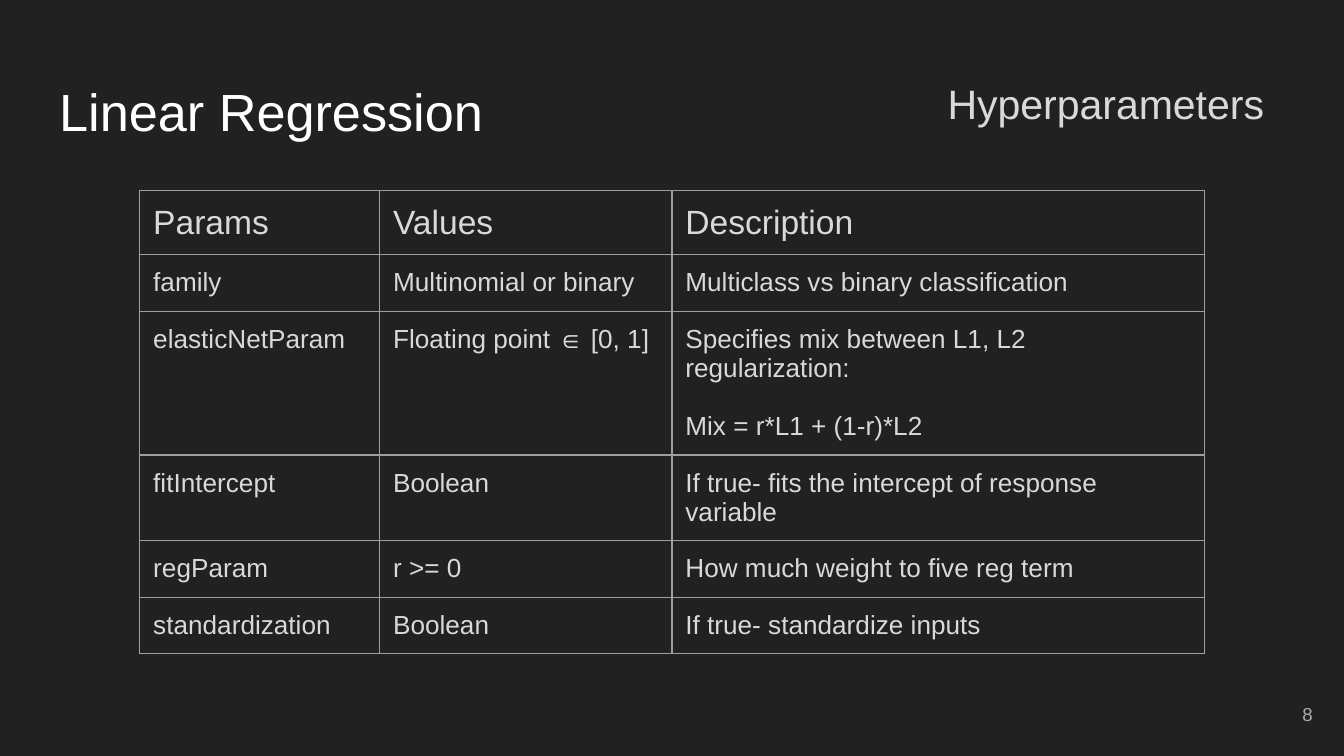
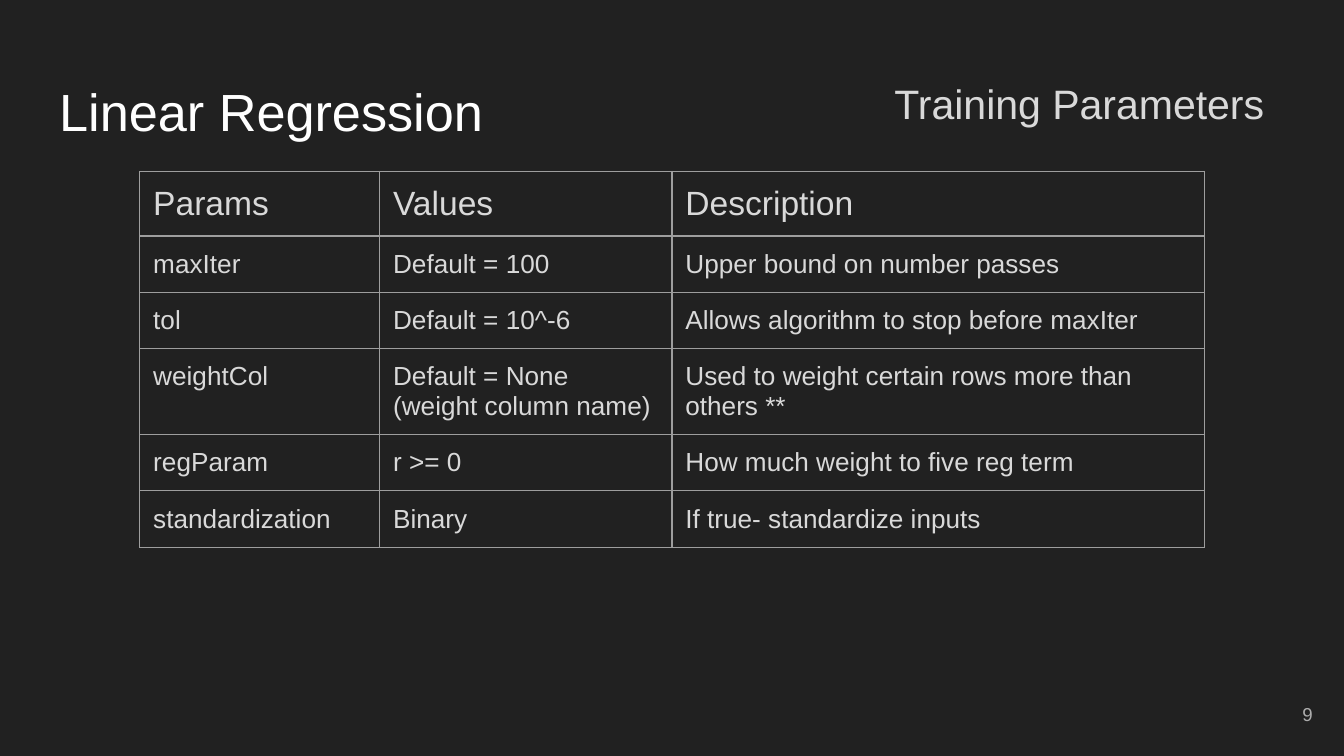
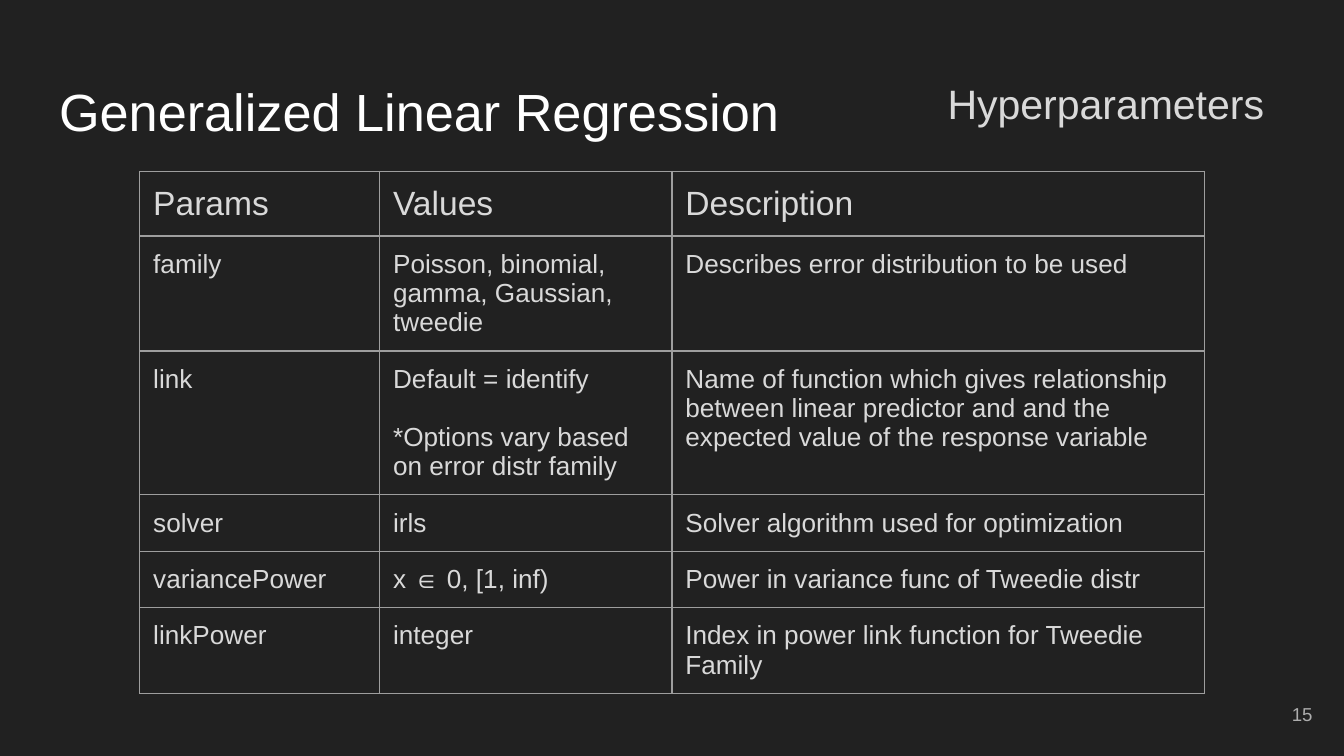
"""Build three dark slides that list regression parameters in tables."""
from dataclasses import dataclass
from typing import NamedTuple

from lxml import etree
from pptx import Presentation
from pptx.dml.color import RGBColor
from pptx.enum.text import MSO_ANCHOR, MSO_AUTO_SIZE, PP_ALIGN
from pptx.oxml.ns import qn
from pptx.slide import Slide
from pptx.table import _Cell
from pptx.text.text import TextFrame
from pptx.util import Emu, Pt

LEFT, RIGHT = PP_ALIGN.LEFT, PP_ALIGN.RIGHT
TOP, MIDDLE = MSO_ANCHOR.TOP, MSO_ANCHOR.MIDDLE
NO_FIT = MSO_AUTO_SIZE.NONE
TITLE_ONLY = 5
SCALE = 4572


def px(size: int) -> Emu:
    """Turn px, two hundred to the inch, into EMU."""
    return Emu(size * SCALE)


class Style(NamedTuple):
    """Size and colour of a run of text."""
    size: int
    color: str


@dataclass(frozen=True)
class Theme:
    """Colours, type sizes and spacing that all slides share."""
    font: str = "Arial"
    back: str = "212121"
    rule: str = "9E9E9E"
    rule_pt: float = 0.75
    inset: int = 20
    title: Style = Style(28, "FFFFFF")
    topic: Style = Style(22, "D9D9D9")
    head: Style = Style(18, "D9D9D9")
    body: Style = Style(14, "D9D9D9")
    page: Style = Style(10, "ADADAD")


class Box(NamedTuple):
    """Place of an element in px."""
    left: int
    top: int
    width: int
    height: int

    def emu(self) -> tuple[Emu, ...]:
        """Give the four lengths in EMU."""
        return tuple(px(side) for side in self)


class Row(NamedTuple):
    """One table row, with the gap before second paragraphs."""
    param: str
    value: str
    note: str
    gap: int = 0


@dataclass(frozen=True)
class Page:
    """Content of one slide."""
    number: int
    title: str
    topic: str
    rows: tuple[Row, ...]
    top: int = 255
    height: int = 580
    title_width: int = 932


THEME = Theme()
COLS = (357, 435, 792)
ROW_HEIGHT = 84
TABLE_LEFT = 208
LINE_GAP = 43
TOPIC_BOX = Box(1088, 97, 813, 126)
PAGE_BOX = Box(1853, 1020, 120, 86)
HEAD = Row("Params", "Values", "Description")
REG = Row("regParam", "r >= 0", "How much weight to five reg term")
SCALED = "If true- standardize inputs"

PAGES = (
    Page(8, "Linear Regression", "Hyperparameters", (
        Row("family", "Multinomial or binary",
            "Multiclass vs binary classification"),
        Row("elasticNetParam", "Floating point ∈ [0, 1]",
            "Specifies mix between L1, L2 regularization:\n"
            "Mix = r*L1 + (1-r)*L2", LINE_GAP),
        Row("fitIntercept", "Boolean",
            "If true- fits the intercept of response variable"),
        REG,
        Row("standardization", "Boolean", SCALED),
    ), top=283, height=720),
    Page(9, "Linear Regression", "Training Parameters", (
        Row("maxIter", "Default = 100", "Upper bound on number passes"),
        Row("tol", "Default = 10^-6",
            "Allows algorithm to stop before maxIter"),
        Row("weightCol", "Default = None\n(weight column name)",
            "Used to weight certain rows more than others **"),
        REG,
        Row("standardization", "Binary", SCALED),
    )),
    Page(15, "Generalized Linear Regression", "Hyperparameters", (
        Row("family", "Poisson, binomial, gamma, Gaussian, tweedie",
            "Describes error distribution to be used"),
        Row("link",
            "Default = identify\n*Options vary based on error distr family",
            "Name of function which gives relationship between linear "
            "predictor and and the expected value of the response variable",
            LINE_GAP),
        Row("solver", "irls", "Solver algorithm used for optimization"),
        Row("variancePower", "x ∈ 0, [1, inf)",
            "Power in variance func of Tweedie distr"),
        Row("linkPower", "integer",
            "Index in power link function for Tweedie Family"),
    ), height=814, title_width=1160),
)


def write(frame: TextFrame, text: str, style: Style,
          align: PP_ALIGN = LEFT, gap: int = 0) -> None:
    """Add each line of text as a paragraph with one run."""
    for index, line in enumerate(text.split("\n")):
        para = frame.add_paragraph() if index else frame.paragraphs[0]
        para.alignment = align
        if index:
            para.space_before = px(gap)
        run = para.add_run()
        run.text = line
        run.font.name = THEME.font
        run.font.size = Pt(style.size)
        run.font.color.rgb = RGBColor.from_string(style.color)


def pad(area: TextFrame | _Cell) -> None:
    """Set equal insets on a text frame or cell."""
    area.margin_left = area.margin_right = px(THEME.inset)
    area.margin_top = area.margin_bottom = px(THEME.inset)


def set_up(frame: TextFrame, anchor: MSO_ANCHOR = TOP) -> None:
    """Give a text frame its insets, wrapping and anchor."""
    pad(frame)
    frame.auto_size = NO_FIT
    frame.word_wrap = True
    frame.vertical_anchor = anchor


def add_title(slide: Slide, text: str, width: int) -> None:
    """Place and fill the title placeholder."""
    title = slide.shapes.title
    box = Box(68, 98, width, 126)
    title.left, title.top, title.width, title.height = box.emu()
    set_up(title.text_frame)
    write(title.text_frame, text, THEME.title)


def add_label(slide: Slide, box: Box, text: str, style: Style,
              anchor: MSO_ANCHOR = TOP) -> None:
    """Add a text box set flush right."""
    frame = slide.shapes.add_textbox(*box.emu()).text_frame
    set_up(frame, anchor)
    write(frame, text, style, RIGHT)


def rule_cell(cell: _Cell) -> None:
    """Draw a thin line on all four sides of a cell."""
    props = cell._tc.get_or_add_tcPr()
    for index, side in enumerate(("a:lnL", "a:lnR", "a:lnT", "a:lnB")):
        line = etree.Element(qn(side), w=str(int(Pt(THEME.rule_pt))))
        fill = etree.SubElement(line, qn("a:solidFill"))
        etree.SubElement(fill, qn("a:srgbClr"), val=THEME.rule)
        props.insert(index, line)


def add_grid(slide: Slide, page: Page) -> None:
    """Add the parameter table of a page."""
    rows = (HEAD, *page.rows)
    box = Box(TABLE_LEFT, page.top, sum(COLS), page.height)
    shape = slide.shapes.add_table(len(rows), len(COLS), *box.emu())
    table = shape.table
    table.first_row = table.horz_banding = False
    for col, width in zip(table.columns, COLS):
        col.width = px(width)
    for line, row in zip(table.rows, rows):
        line.height = px(ROW_HEIGHT)
        style = THEME.head if row is HEAD else THEME.body
        for cell, text in zip(line.cells, (row.param, row.value, row.note)):
            pad(cell)
            cell.fill.background()
            rule_cell(cell)
            write(cell.text_frame, text, style, gap=row.gap)
    shape.height = px(page.height)


def main() -> None:
    """Build and save the deck."""
    deck = Presentation()
    deck.slide_width, deck.slide_height = px(2000), px(1125)
    fill = deck.slide_master.background.fill
    fill.solid()
    fill.fore_color.rgb = RGBColor.from_string(THEME.back)
    for page in PAGES:
        slide = deck.slides.add_slide(deck.slide_layouts[TITLE_ONLY])
        add_title(slide, page.title, page.title_width)
        add_label(slide, TOPIC_BOX, page.topic, THEME.topic)
        add_grid(slide, page)
        add_label(slide, PAGE_BOX, str(page.number), THEME.page, MIDDLE)
    deck.save("out.pptx")


if __name__ == "__main__":
    main()
